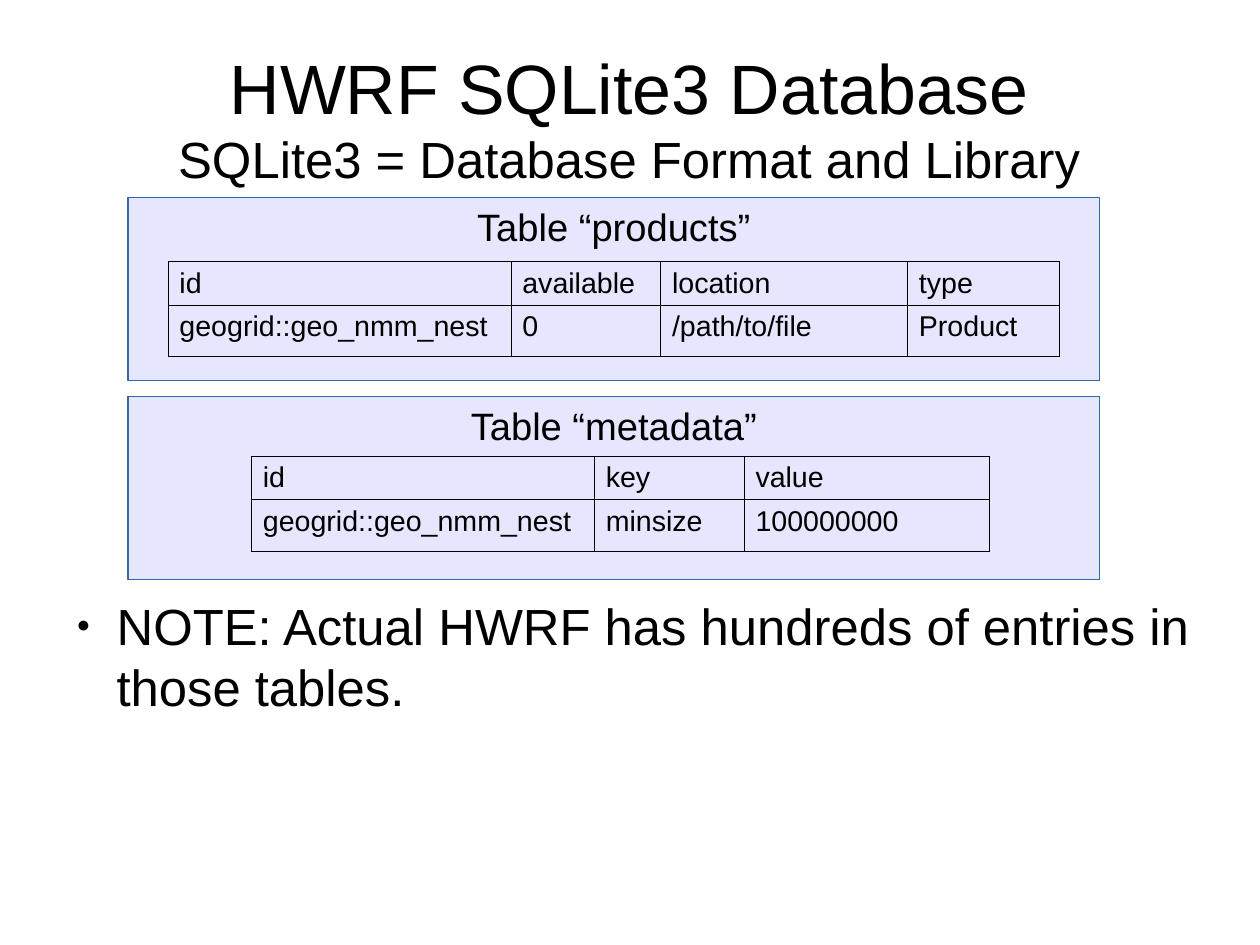
from dataclasses import dataclass

from lxml.etree import SubElement
from pptx import Presentation
from pptx.dml.color import RGBColor
from pptx.enum.shapes import MSO_SHAPE
from pptx.enum.text import MSO_ANCHOR, MSO_AUTO_SIZE, PP_ALIGN
from pptx.oxml.ns import qn
from pptx.util import Cm, Inches, Pt

TITLE = [("HWRF SQLite3 Database", 44), ("SQLite3 = Database Format and Library", 32)]
NOTE = "NOTE: Actual HWRF has hundreds of entries in those tables."
TABLES = [
    {
        "heading": "Table “products”",
        "panel_top": 1.73,
        "corner": (1.47, 2.29),
        "columns": [3, 1.31, 2.16, 1.33],
        "rows": [
            ["id", "available", "location", "type"],
            ["geogrid::geo_nmm_nest", "0", "/path/to/file", "Product"],
        ],
    },
    {
        "heading": "Table “metadata”",
        "panel_top": 3.47,
        "corner": (2.2, 3.99),
        "columns": [3, 1.31, 2.15],
        "rows": [
            ["id", "key", "value"],
            ["geogrid::geo_nmm_nest", "minsize", "100000000"],
        ],
    },
]
SLIDE_WIDTH, SLIDE_HEIGHT = Cm(28), Cm(21)
PANEL_LEFT, PANEL_WIDTH, PANEL_HEIGHT = 1.12, 8.5, 1.6
ROW_HEIGHTS = [0.38, 0.45]
MARGIN, CONTENT_WIDTH = 0.55, 9.92


@dataclass(frozen=True)
class Theme:
    """Colours, font and type sizes of the slide."""

    font: str = "Arial"
    ink: str = "000000"
    panel: str = "E6E6FF"
    outline: str = "3465A4"
    heading: int = 24
    cell: int = 18
    note: int = 32
    border: float = 0.57


THEME = Theme()


def add_text(para, text, size, align=PP_ALIGN.LEFT):
    """Add a formatted span to a paragraph."""
    para.alignment = align
    span = para.add_run()
    span.text = text
    span.font.size = Pt(size)
    span.font.name = THEME.font
    span.font.color.rgb = RGBColor.from_string(THEME.ink)


def place(shape, left, top, width, height):
    """Move and size a shape in inches."""
    shape.left, shape.top = Inches(left), Inches(top)
    shape.width, shape.height = Inches(width), Inches(height)


def clear_margins(frame):
    """Remove the inner margins of a text frame and wrap its text."""
    frame.margin_left = frame.margin_right = frame.margin_top = frame.margin_bottom = 0
    frame.word_wrap = True
    frame.auto_size = MSO_AUTO_SIZE.NONE


def add_title(page):
    """Fill the title with its two lines."""
    title = page.shapes.title
    place(title, MARGIN, 0.33, CONTENT_WIDTH, 1.38)
    frame = title.text_frame
    clear_margins(frame)
    frame.vertical_anchor = MSO_ANCHOR.MIDDLE
    para = frame.paragraphs[0]
    for index, (text, size) in enumerate(TITLE):
        if index:
            para.add_line_break()
        add_text(para, text, size, align=PP_ALIGN.CENTER)


def add_panel(page, heading, top):
    """Draw a tinted panel with its heading."""
    panel = page.shapes.add_shape(
        MSO_SHAPE.FLOWCHART_PROCESS, Inches(PANEL_LEFT), Inches(top),
        Inches(PANEL_WIDTH), Inches(PANEL_HEIGHT))
    panel.shadow.inherit = False
    panel.fill.solid()
    panel.fill.fore_color.rgb = RGBColor.from_string(THEME.panel)
    panel.line.color.rgb = RGBColor.from_string(THEME.outline)
    panel.line.width = Pt(0)
    frame = panel.text_frame
    frame.word_wrap = False
    frame.vertical_anchor = MSO_ANCHOR.TOP
    add_text(frame.paragraphs[0], heading, THEME.heading, align=PP_ALIGN.CENTER)


def format_cell(cell, text):
    """Write a cell and set its borders and fill."""
    properties = cell._tc.get_or_add_tcPr()
    for side in ("lnL", "lnR", "lnT", "lnB"):
        line = SubElement(properties, qn(f"a:{side}"), w=str(Pt(THEME.border)))
        fill = SubElement(line, qn("a:solidFill"))
        SubElement(fill, qn("a:srgbClr"), val=THEME.ink)
    cell.fill.background()
    add_text(cell.text_frame.paragraphs[0], text, THEME.cell)


def add_grid(page, corner, columns, rows):
    """Add a bordered table."""
    left, top = corner
    grid = page.shapes.add_table(
        len(rows), len(columns), Inches(left), Inches(top),
        Inches(sum(columns)), Inches(sum(ROW_HEIGHTS))).table
    grid.first_row = grid.horz_banding = False
    for column, width in zip(grid.columns, columns):
        column.width = Inches(width)
    for row, height, texts in zip(grid.rows, ROW_HEIGHTS, rows):
        row.height = Inches(height)
        for cell, text in zip(row.cells, texts):
            format_cell(cell, text)


def add_note(page):
    """Add the bulleted note."""
    box = page.shapes.add_textbox(
        Inches(MARGIN), Inches(5.2), Inches(CONTENT_WIDTH), Inches(2.89))
    clear_margins(box.text_frame)
    para = box.text_frame.paragraphs[0]
    add_text(para, NOTE, THEME.note)
    para.space_after = Pt(14.2)
    properties = para._p.get_or_add_pPr()
    properties.set("marL", str(Inches(0.47)))
    properties.set("indent", str(Inches(-0.35)))
    colour = SubElement(properties, qn("a:buClr"))
    SubElement(colour, qn("a:srgbClr"), val=THEME.ink)
    SubElement(properties, qn("a:buSzPct"), val="45000")
    SubElement(properties, qn("a:buFont"), typeface=THEME.font)
    SubElement(properties, qn("a:buChar"), char="●")


def main():
    """Build and save the slide."""
    deck = Presentation()
    deck.slide_width, deck.slide_height = SLIDE_WIDTH, SLIDE_HEIGHT
    page = deck.slides.add_slide(deck.slide_layouts[5])
    add_title(page)
    for table in TABLES:
        add_panel(page, table["heading"], table["panel_top"])
        add_grid(page, table["corner"], table["columns"], table["rows"])
    add_note(page)
    deck.save("out.pptx")


if __name__ == "__main__":
    main()
